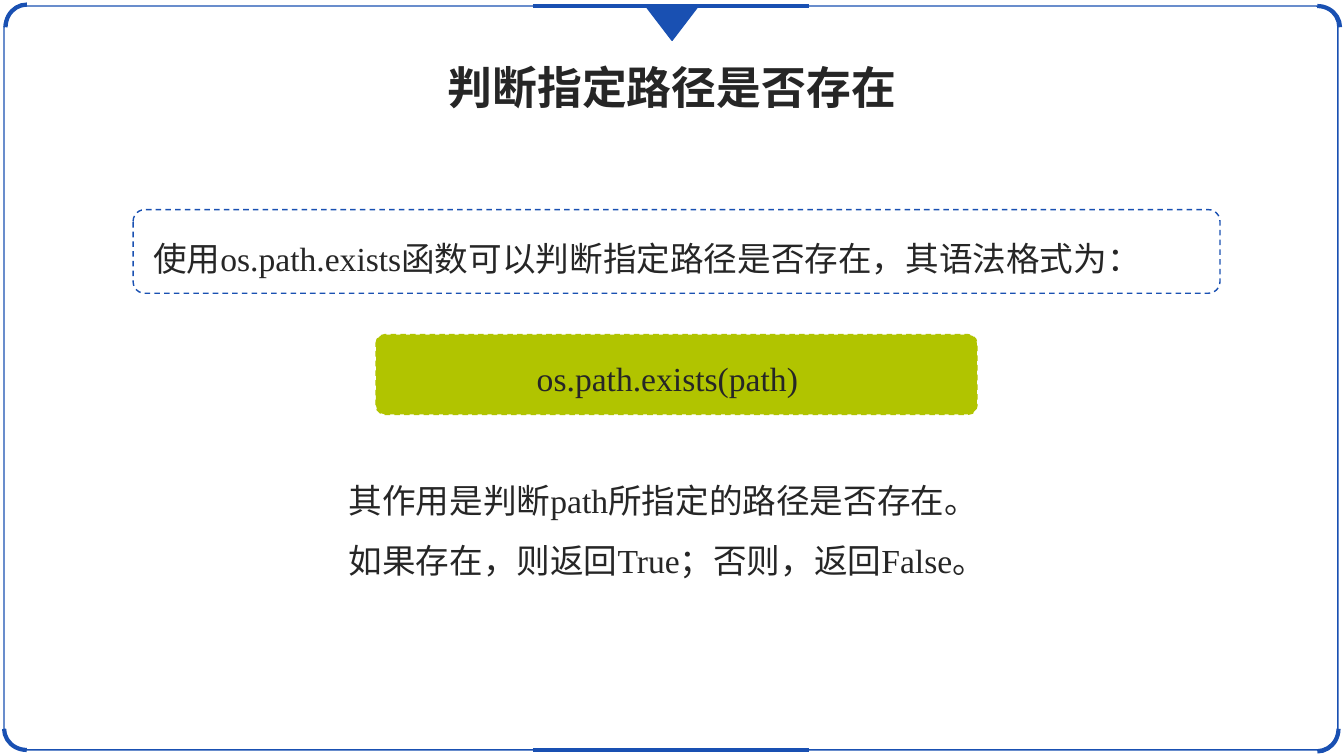
from lxml.etree import SubElement
from pptx import Presentation
from pptx.dml.color import RGBColor
from pptx.enum.dml import MSO_LINE
from pptx.enum.shapes import MSO_CONNECTOR, MSO_SHAPE
from pptx.enum.text import MSO_ANCHOR, MSO_AUTO_SIZE, PP_ALIGN
from pptx.oxml.ns import qn
from pptx.util import Inches, Pt

COLORS = {"blue": "1950B2", "green": "B1C400", "text": "262626"}
FONT = "Times New Roman"


def color(name):
    return RGBColor.from_string(COLORS[name])


def add_outline(page, kind, box, line="blue", width=1, fill=None, dashed=False):
    shape = page.shapes.add_shape(kind, *map(Inches, box))
    shape.shadow.inherit = False
    if fill:
        shape.fill.solid()
        shape.fill.fore_color.rgb = color(fill)
    else:
        shape.fill.background()
    shape.line.color.rgb = color(line)
    shape.line.width = Pt(width)
    if dashed:
        shape.line.dash_style = MSO_LINE.DASH
    return shape


def style_paragraph(para, size, bold=False, align=PP_ALIGN.LEFT):
    para.alignment = align
    para.font.name = FONT
    para.font.size = Pt(size)
    para.font.bold = bold
    para.font.color.rgb = color("text")


def add_frame(page, box):
    """Draw the page border, its corner arcs, edge bars and top pointer."""
    left, top, width, height = box
    right, bottom, middle = left + width, top + height, left + width / 2
    border = add_outline(page, MSO_SHAPE.ROUNDED_RECTANGLE, box)
    border.adjustments[0] = 0.029

    arc_width, arc_height = 0.45, 0.42
    far_x, far_y = right - arc_width + 0.02, bottom - arc_height
    corners = [(left, top, 270), (left, far_y, 180), (far_x, top, 0), (far_x, far_y, 90)]
    for x, y, angle in corners:
        arc = add_outline(page, MSO_SHAPE.ARC, (x, y, arc_width, arc_height), width=3)
        arc.rotation = angle

    half_bar = 1.37
    for y in (top, bottom):
        bar = page.shapes.add_connector(
            MSO_CONNECTOR.STRAIGHT,
            Inches(middle - half_bar), Inches(y), Inches(middle + half_bar), Inches(y))
        bar.line.color.rgb = color("blue")
        bar.line.width = Pt(3)
        SubElement(bar._element.spPr, qn("a:effectLst"))

    pointer_box = (middle - 0.25, top, 0.52, 0.34)
    pointer = add_outline(page, MSO_SHAPE.ISOSCELES_TRIANGLE, pointer_box, fill="blue")
    pointer.rotation = 180


def add_title(page, box, text):
    title = page.shapes.title
    title.left, title.top, title.width, title.height = map(Inches, box)
    frame = title.text_frame
    frame.text = text
    frame.word_wrap = False
    frame.auto_size = MSO_AUTO_SIZE.NONE
    frame.vertical_anchor = MSO_ANCHOR.TOP
    style_paragraph(frame.paragraphs[0], 32, bold=True, align=PP_ALIGN.CENTER)


def add_body(page, box, text, align=PP_ALIGN.LEFT):
    frame = page.shapes.add_textbox(*map(Inches, box)).text_frame
    frame.word_wrap = True
    frame.text = text
    para = frame.paragraphs[0]
    para.line_spacing = 1.5
    style_paragraph(para, 24, align=align)
    return frame


def add_introduction(page, box, text):
    left, top, width, height = box
    add_body(page, (left + 0.1, top + 0.03, width - 0.23, height - 0.2), text)
    outline = add_outline(page, MSO_SHAPE.ROUNDED_RECTANGLE, box, dashed=True)
    outline.adjustments[0] = 0.139


def add_syntax(page, box, code):
    left, top, width, height = box
    panel = add_outline(page, MSO_SHAPE.ROUNDED_RECTANGLE, box,
                        line="green", fill="green", dashed=True)
    panel.adjustments[0] = 0.11
    code_box = (left + 1.02, top - 0.02, width - 2.04, 0.63)
    frame = add_body(page, code_box, code, PP_ALIGN.CENTER)
    frame.margin_right = Inches(0.28)


def main():
    deck = Presentation()
    deck.slide_width, deck.slide_height = Inches(13.33), Inches(7.5)
    page = deck.slides.add_slide(deck.slide_layouts[5])
    add_frame(page, (0.04, 0.06, 13.23, 7.38))
    add_title(page, (4.32, 0.54, 4.69, 0.64), "判断指定路径是否存在")
    add_introduction(page, (1.32, 2.08, 10.78, 0.83),
                     "使用os.path.exists函数可以判断指定路径是否存在，其语法格式为：")
    add_syntax(page, (3.73, 3.32, 5.96, 0.79), "os.path.exists(path)")
    add_body(page, (3.36, 4.51, 6.69, 1.24),
             "其作用是判断path所指定的路径是否存在。如果存在，则返回True；否则，返回False。")
    deck.save("out.pptx")


if __name__ == "__main__":
    main()
